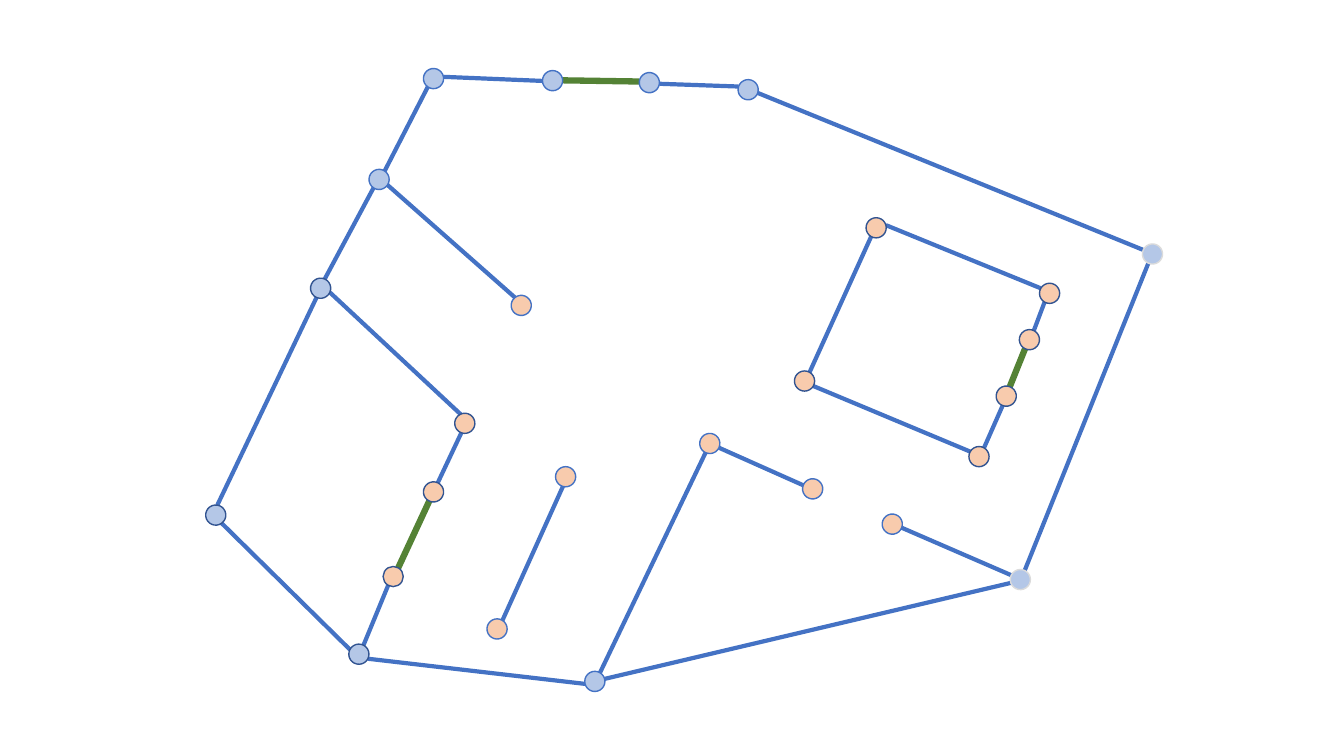
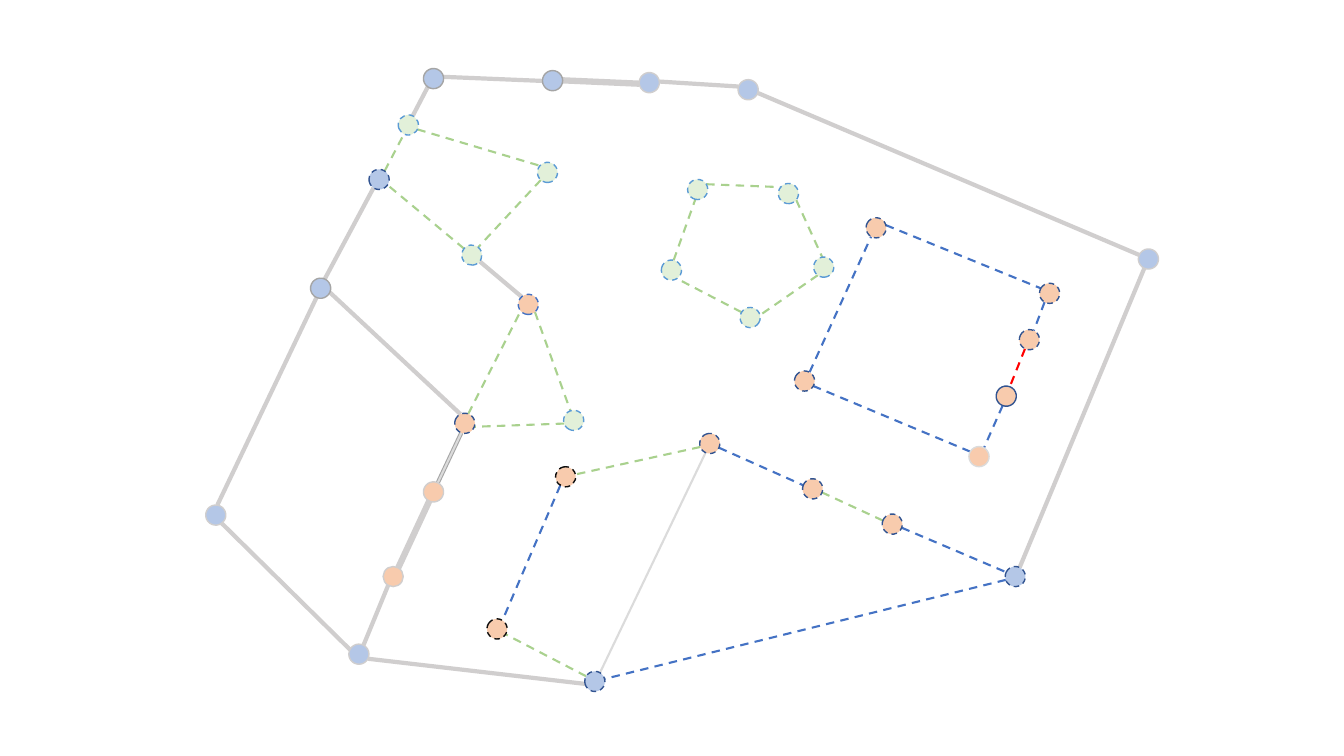
"""Build two node-and-edge floor outlines: the plain graph and the graph with suggested links."""
import math

import pptx
import pptx.dml.color
import pptx.enum.dml
import pptx.enum.shapes
import pptx.oxml.ns
import pptx.util
from lxml import etree

RGB = pptx.dml.color.RGBColor
BLUE = RGB(0x44, 0x72, 0xC4)
NAVY = RGB(0x32, 0x54, 0x91)
SKY = RGB(0x5B, 0x9B, 0xD5)
FOREST = RGB(0x54, 0x82, 0x35)
LEAF = RGB(0xA9, 0xD1, 0x8E)
RED = RGB(0xFF, 0x00, 0x00)
BLACK = RGB(0x0D, 0x0D, 0x0D)
GREY = RGB(0xA5, 0xA5, 0xA5)
SILVER = RGB(0xD0, 0xCE, 0xCE)
MIST = RGB(0xDB, 0xDB, 0xDB)
PALE_BLUE = RGB(0xB4, 0xC7, 0xE7)
PEACH = RGB(0xF8, 0xCB, 0xAD)
PALE_GREEN = RGB(0xE2, 0xF0, 0xD9)

DIAMETER = 0.2
SITE_STEP = 45

# fmt: off
HULL = {
    "top1": (4.3, 0.78, 349.8), "top2": (5.48, 0.8, 88.3),
    "top3": (6.44, 0.82, 51.4), "top4": (7.42, 0.89, 18.5),
    "east": (11.43, 2.52, 68.9), "southeast": (10.12, 5.75, 25.7),
    "south": (5.9, 6.76, 345.6), "southwest": (3.56, 6.49, 342),
    "west": (2.14, 5.11, 9), "left1": (3.18, 2.86, 23.9),
    "left2": (3.76, 1.78, 348.5),
}
INNER = {
    "tip": (5.17, 3.03, 276.5), "wall1": (4.61, 4.2, 20),
    "wall2": (4.3, 4.88, 25), "wall3": (3.9, 5.72, 30),
    "bar1": (5.61, 4.73, 60.6), "bar2": (4.93, 6.24, 32.2),
    "arm1": (7.04, 4.4, 69.8), "arm2": (8.06, 4.85, 20.9),
    "arm3": (8.85, 5.2, 20.9), "ring1": (8.69, 2.26, 29.7),
    "ring2": (10.41, 2.91, 29.7), "ring3": (10.21, 3.37, 25.9),
    "ring4": (9.98, 3.93, 20.8), "ring5": (9.71, 4.53, 29.7),
    "ring6": (7.98, 3.78, 29.7),
}
ADDED = {
    "new1": (4.05, 1.24, 340.8), "new2": (5.43, 1.71, 265.9),
    "new3": (4.68, 2.53, 264.2), "new4": (5.69, 4.17, 296.2),
    "loop1": (6.92, 1.88, 283.4), "loop2": (7.82, 1.92, 264.5),
    "loop3": (8.17, 2.65, 261.3), "loop4": (7.44, 3.15, 211.6),
    "loop5": (6.66, 2.68, 12.3),
}
MOVED = {
    "east": (11.39, 2.57, 68.9), "southeast": (10.07, 5.72, 25.7),
    "tip": (5.24, 3.02, 274), "top3": (6.44, 0.82, 38.9),
    "bar1": (5.61, 4.73, 76.7),
}
SITE_TURNS = {
    ("ring1", "ring2"): -1, ("loop1", "loop2"): -1, ("loop2", "loop1"): 1,
    ("loop2", "loop3"): -1, ("loop5", "loop4"): 1,
}

PLAIN = {
    "nodes": [(HULL, PALE_BLUE), (INNER, PEACH)],
    "moved": {},
    "edges": [
        (BLUE, 3, False, [
            "top3 top4 east southeast south southwest west left1 left2 top1 top2",
            "left2 tip", "left1 wall1 wall2", "wall3 southwest", "bar1 bar2",
            "south arm1 arm2", "arm3 southeast",
            "ring4 ring5 ring6 ring1 ring2 ring3"]),
        (FOREST, 4.5, False, ["top2 top3", "wall2 wall3", "ring3 ring4"]),
    ],
    "outlines": [
        (BLUE, False, "top1 top2 top3 top4 south left2 tip bar1 bar2 arm1 arm2 arm3"),
        (NAVY, False, "left1 southwest west wall1 wall2 wall3 "
                      "ring1 ring2 ring3 ring4 ring5 ring6"),
        (MIST, False, "east southeast"),
    ],
}
LINKED = {
    "nodes": [(HULL, PALE_BLUE), (INNER, PEACH), (ADDED, PALE_GREEN)],
    "moved": MOVED,
    "edges": [
        (SILVER, 3, False, [
            "top3 top4 east southeast", "south southwest west left1 left2",
            "new1 top1 top2", "left1 wall1", "wall3 southwest", "new3 tip"]),
        (SILVER, 4.5, False, ["top2 top3", "wall2 wall3"]),
        (GREY, 3, False, ["wall1 wall2"]),
        (MIST, 1.5, False, ["wall1 wall2", "arm1 south"]),
        (LEAF, 1.5, True, [
            "left2 new1 new2 new3 left2", "tip new4 wall1 tip",
            "loop1 loop2 loop3 loop4 loop5 loop1",
            "arm3 arm2", "south bar2", "arm1 bar1"]),
        (BLUE, 1.5, True, [
            "ring4 ring5 ring6 ring1 ring2 ring3", "bar1 bar2",
            "arm1 arm2", "arm3 southeast south"]),
        (RED, 1.5, True, ["ring3 ring4"]),
    ],
    "outlines": [
        (GREY, False, "left1 top1 top2"),
        (SILVER, False, "top3 top4 southwest west east wall2 wall3"),
        (MIST, False, "ring5"),
        (NAVY, False, "ring4"),
        (NAVY, True, "left2 southeast south wall1 arm1 arm2 arm3 "
                     "ring1 ring2 ring3 ring6"),
        (BLUE, True, "tip"),
        (BLACK, True, "bar1 bar2"),
        (SKY, True, " ".join(ADDED)),
    ],
}
# fmt: on


def style_line(line, color, width, dashed):
    line.color.rgb = color
    line.width = pptx.util.Pt(width)
    if dashed:
        line.dash_style = pptx.enum.dml.MSO_LINE.DASH


def site(places, start, end):
    """Return the connection site of the start node that faces the end node."""
    x, y, rotation = places[start]
    end_x, end_y, _ = places[end]
    bearing = math.degrees(math.atan2(end_y - y, end_x - x))
    step = round((bearing - rotation) / SITE_STEP) + SITE_TURNS.get((start, end), 0)
    angle = math.radians(rotation + step * SITE_STEP)
    radius = DIAMETER / 2
    return (pptx.util.Inches(x + radius * math.cos(angle)),
            pptx.util.Inches(y + radius * math.sin(angle)))


def add_edge(page, places, start, end, color, width, dashed):
    edge = page.shapes.add_connector(
        pptx.enum.shapes.MSO_CONNECTOR.STRAIGHT,
        *site(places, start, end), *site(places, end, start))
    style_line(edge.line, color, width, dashed)
    etree.SubElement(edge._element.spPr, pptx.oxml.ns.qn("a:effectLst"))


def add_node(page, place, fill, color, dashed):
    x, y, rotation = place
    size = pptx.util.Inches(DIAMETER)
    node = page.shapes.add_shape(
        pptx.enum.shapes.MSO_SHAPE.OVAL,
        pptx.util.Inches(x - DIAMETER / 2), pptx.util.Inches(y - DIAMETER / 2), size, size)
    node.rotation = rotation
    node.shadow.inherit = False
    node.fill.solid()
    node.fill.fore_color.rgb = fill
    style_line(node.line, color, 1, dashed)


def add_graph(deck, graph):
    page = deck.slides.add_slide(deck.slide_layouts[6])
    places, fills = {}, {}
    for group, fill in graph["nodes"]:
        places.update(group)
        fills.update(dict.fromkeys(group, fill))
    places.update(graph["moved"])
    for color, width, dashed, chains in graph["edges"]:
        for chain in chains:
            names = chain.split()
            for start, end in zip(names, names[1:]):
                add_edge(page, places, start, end, color, width, dashed)
    for color, dashed, names in graph["outlines"]:
        for name in names.split():
            add_node(page, places[name], fills[name], color, dashed)


deck = pptx.Presentation()
deck.slide_width = pptx.util.Inches(13.33)
deck.slide_height = pptx.util.Inches(7.5)
for graph in (PLAIN, LINKED):
    add_graph(deck, graph)
deck.save("out.pptx")
